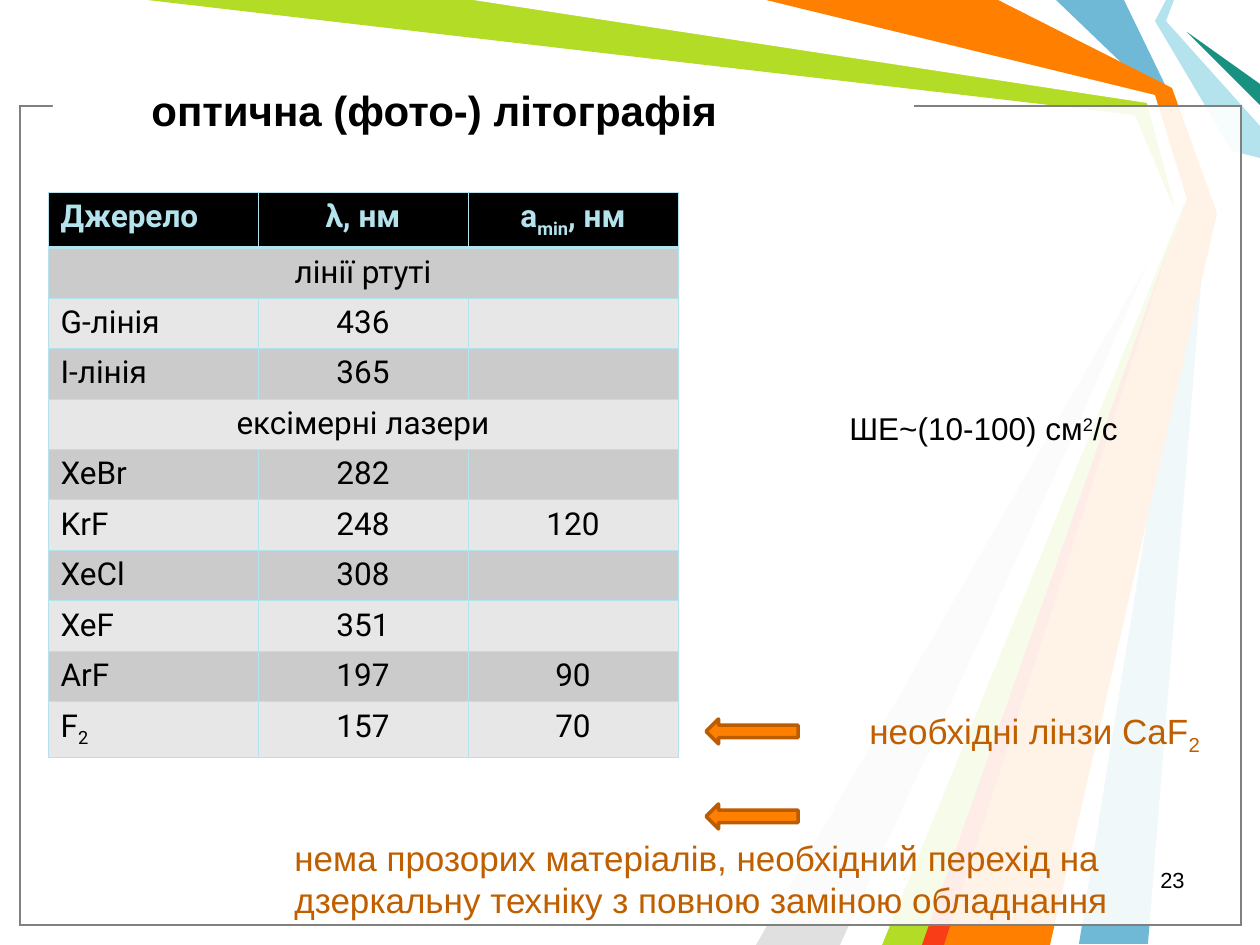
from lxml.etree import SubElement
from pptx import Presentation
from pptx.dml.color import RGBColor
from pptx.enum.shapes import MSO_SHAPE as Preset
from pptx.enum.text import PP_ALIGN as Align
from pptx.oxml.ns import qn
from pptx.util import Emu, Pt

PX = 914400 / 126
COLORS = {
    "black": "000000", "white": "FFFFFF", "frame": "808080",
    "blue": "6FB9D7", "green": "B3DC27", "grey": "E0E0E0", "pale": "B4E3EE",
    "teal": "189180", "orange": "FF7F00", "red": "F93D17",
    "arrow_edge": "BC5C00", "note": "BF5F00",
    "dark_band": "CBCBCB", "light_band": "E7E7E7",
}
RIBBONS = [
    ("blue", [(1124, 0), (1171, 97), (1207, 210), (1148, 944), (1079, 944),
              (1197, 210), (1155, 95), (1056, 0)]),
    ("green", [(147, 0), (483, 0), (1152, 98), (1187, 213), (935, 945),
               (872, 945), (1178, 218), (1135, 115)]),
    ("grey", [(840, 945), (1168, 228), (756, 945)]),
    ("white", [(473, 0), (1147, 103), (1174, 204), (851, 945), (882, 945),
               (1186, 199), (1155, 95), (756, 0)]),
    ("pale", [(1166, 0), (1155, 21), (1232, 151), (1260, 158), (1260, 126),
              (1166, 21), (1174, 0)]),
    ("teal", [(1260, 105), (1187, 32), (1260, 84)]),
    ("orange", [(766, 0), (998, 0), (1172, 88), (1217, 213), (1050, 945),
                (924, 945), (1187, 199), (1155, 95)]),
    ("red", [(922, 945), (1174, 231), (944, 945)]),
]
SUB, SUPER = -25, 30
# Each text is a list of (words, baseline shift in percent).
SOURCES = [
    ["Джерело", "λ, нм", [("a", 0), ("min", SUB), (", нм", 0)]],
    ["лінії ртуті"],
    ["G-лінія", "436", ""],
    ["І-лінія", "365", ""],
    ["ексімерні лазери"],
    ["XeBr", "282", ""],
    ["KrF", "248", "120"],
    ["XeCl", "308", ""],
    ["XeF", "351", ""],
    ["ArF", "197", "90"],
    [[("F", 0), ("2", SUB)], "157", "70"],
]


def px(length):
    return Emu(round(length * PX))


def rgb(name):
    return RGBColor.from_string(COLORS[name])


def write(frame, content, size, color="black", font="Arial", bold=False, align=Align.LEFT):
    """Fill the first paragraph with a string or with (words, baseline) spans."""
    para = frame.paragraphs[0]
    para.alignment = align
    para.font.size, para.font.name, para.font.bold = Pt(size), font, bold
    para.font.color.rgb = rgb(color)
    if isinstance(content, str):
        content = [(content, 0)] if content else []
    for words, baseline in content:
        span = para.add_run()
        span.text = words
        if baseline:
            span._r.get_or_add_rPr().set("baseline", str(baseline * 1000))
    return para


def paint(shape, fill, line=None, width=0.75):
    shape.shadow.inherit = False
    shape.fill.solid()
    shape.fill.fore_color.rgb = rgb(fill)
    if line:
        shape.line.color.rgb = rgb(line)
        shape.line.width = Pt(width)
    else:
        shape.line.fill.background()


def add_ribbon(page, color, points):
    builder = page.shapes.build_freeform(*points[0], scale=PX)
    builder.add_line_segments(points[1:], close=True)
    paint(builder.convert_to_shape(), color)


def add_preset(page, kind, box, fill, line=None, width=0.75):
    shape = page.shapes.add_shape(kind, *map(px, box))
    paint(shape, fill, line, width)
    return shape


def add_veil(page, line):
    """Add one translucent white panel with an outline."""
    veil = add_preset(page, Preset.RECTANGLE, (20, 106, 1221, 819), "white", line)
    color = veil.fill._xPr.find(qn("a:solidFill"))[0]
    SubElement(color, qn("a:alpha"), val="69000")


def add_text(page, box, content, size, wrap=True, **style):
    frame = page.shapes.add_textbox(*map(px, box)).text_frame
    frame.word_wrap = wrap
    return write(frame, content, size, **style)


def set_border(cell, side, width):
    line = SubElement(cell._tc.get_or_add_tcPr(), qn("a:ln" + side), w=str(Pt(width)))
    fill = SubElement(line, qn("a:solidFill"))
    SubElement(fill, qn("a:srgbClr"), val=COLORS["pale"])


def style_cell(cell, row):
    for side in "LRTB":
        under_header = (row, side) in ((0, "B"), (1, "T"))
        set_border(cell, side, 1.47 if under_header else 0.45)
    cell.fill.solid()
    band = "dark_band" if row % 2 else "light_band"
    cell.fill.fore_color.rgb = rgb(band if row else "black")


def add_sources_table(page):
    count = len(SOURCES)
    table = page.shapes.add_table(count, 3, px(48), px(192), px(630), px(564)).table
    for column in table.columns:
        column.width = px(210)
    for row, texts in enumerate(SOURCES):
        tall = row in (0, count - 1)
        table.rows[row].height = px(55) if tall else px(454) // (count - 2)
        for cell in table.rows[row].cells:
            style_cell(cell, row)
        is_section = len(texts) == 1
        if is_section:
            table.cell(row, 0).merge(table.cell(row, 2))
        for column, content in enumerate(texts):
            write(table.cell(row, column).text_frame, content, 18, font="Roboto",
                  color="black" if row else "pale", bold=row == 0,
                  align=Align.CENTER if column or is_section else Align.LEFT)


def main():
    deck = Presentation()
    deck.slide_width, deck.slide_height = px(1260), px(945)
    page = deck.slides.add_slide(deck.slide_layouts[6])

    for color, points in RIBBONS:
        add_ribbon(page, color, points)
    for line in ("black", "frame"):
        add_veil(page, line)
    add_preset(page, Preset.RECTANGLE, (53, 93, 861, 21), "white")

    number = add_text(page, (903, 866, 294, 42), "23", 12.5, align=Align.RIGHT)
    number.line_spacing = 0.8
    add_preset(page, Preset.RECTANGLE, (139, 78, 674, 63), "white")
    add_text(page, (139, 78, 674, 63), "оптична (фото-) літографія", 24, bold=True)

    add_sources_table(page)
    for top in (719, 804):
        add_preset(page, Preset.LEFT_ARROW, (706, top, 92, 25), "orange", "arrow_edge", 2)
    add_text(page, (857, 703, 357, 60), [("необхідні лінзи CaF", 0), ("2", SUB)],
             20, wrap=False, color="note")
    add_text(page, (282, 830, 873, 97),
             "нема прозорих матеріалів, необхідний перехід на "
             "дзеркальну техніку з повною заміною обладнання", 20, color="note")
    add_text(page, (837, 403, 294, 50),
             [("ШЕ~(10-100) cм", 0), ("2", SUPER), ("/c", 0)], 18, wrap=False)
    deck.save("out.pptx")


if __name__ == "__main__":
    main()
